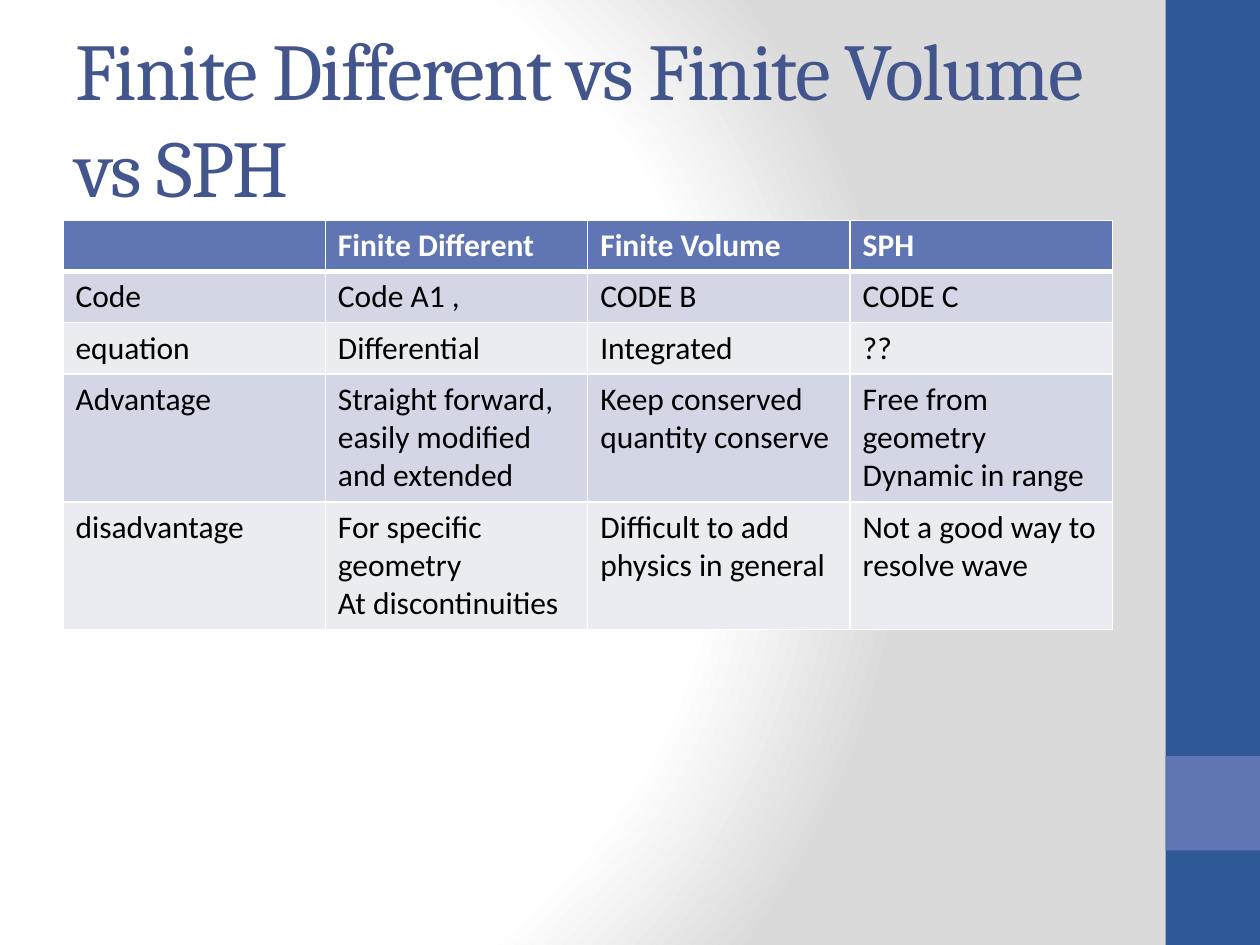
from pptx import Presentation, oxml
from pptx import util as u
from pptx.dml import color
from pptx.enum import shapes, text
from pptx.oxml import ns

ROWS = [
    ["", "Finite Different", "Finite Volume", "SPH"],
    ["Code", "Code A1 ,", "CODE B", "CODE C"],
    ["equation", "Differential", "Integrated", "??"],
    ["Advantage", "Straight forward, easily modified and extended",
     "Keep conserved quantity conserve",
     "Free from geometry\nDynamic in range"],
    ["disadvantage", "For specific geometry\nAt discontinuities",
     "Difficult to add physics in general",
     "Not a good way to resolve wave"],
]
HIGHS = [0.4, 0.4, 0.4, 1.01, 1.01]


def rgb(code):
    return color.RGBColor.from_string(code)


class Deck:
    head, body = "Cambria", "Calibri"
    navy, blue, ink = "2F5897", "6076B4", "42568D"
    white, black = "FFFFFF", "000000"
    bands = ["EAECF2", "D2D6E5"]

    def __init__(self):
        self.prs = Presentation()
        self.prs.slide_width = u.Inches(10)
        self.prs.slide_height = u.Inches(7.5)
        self.slide = self.prs.slides.add_slide(self.prs.slide_layouts[5])

    def glow(self, stops):
        self.slide.background.fill.solid()
        marks = "".join(
            f'<a:gs pos="{pos * 1000}"><a:srgbClr val="{code}"/></a:gs>'
            for pos, code in stops)
        grad = oxml.parse_xml(
            f'<a:gradFill {ns.nsdecls("a")} rotWithShape="1">'
            f'<a:gsLst>{marks}</a:gsLst><a:path path="circle">'
            '<a:fillToRect l="20000" t="50000" r="100000" b="50000"/>'
            '</a:path></a:gradFill>')
        solid = self.slide.element.xpath(".//p:bgPr/a:solidFill")[0]
        solid.getparent().replace(solid, grad)

    def rect(self, x, y, w, h, fill):
        box = self.slide.shapes.add_shape(
            shapes.MSO_SHAPE.RECTANGLE, *map(u.Inches, (x, y, w, h)))
        box.shadow.inherit = False
        box.fill.solid()
        box.fill.fore_color.rgb = rgb(fill)
        box.line.fill.background()

    def font(self, par, name, size, ink, bold=False):
        par.font.name = name
        par.font.size = u.Pt(size)
        par.font.bold = bold
        par.font.color.rgb = rgb(ink)

    def title(self, words, x, y, w, h):
        box = self.slide.shapes.title
        box.left, box.top, box.width, box.height = map(u.Inches, (x, y, w, h))
        frame = box.text_frame
        frame.text = words
        frame.word_wrap = True
        frame.auto_size = text.MSO_AUTO_SIZE.NONE
        frame.vertical_anchor = text.MSO_ANCHOR.MIDDLE
        par = frame.paragraphs[0]
        par.alignment = text.PP_ALIGN.LEFT
        self.font(par, self.head, 46, self.ink)
        par.runs[0].font._element.set("spc", "-100")

    def edge(self, cell, side, width):
        cell._tc.get_or_add_tcPr().append(oxml.parse_xml(
            f'<a:ln{side} {ns.nsdecls("a")} w="{u.Pt(width)}"><a:solidFill>'
            f'<a:srgbClr val="{self.white}"/></a:solidFill></a:ln{side}>'))

    def cell(self, cell, words, row):
        top = row == 0
        cell.text = words
        for par in cell.text_frame.paragraphs:
            self.font(par, self.body, 18, self.white if top else self.black, top)
        for side in "LRTB":
            thick = (top and side == "B") or (row == 1 and side == "T")
            self.edge(cell, side, 3 if thick else 1)
        cell.fill.solid()
        cell.fill.fore_color.rgb = rgb(self.blue if top else self.bands[row % 2])

    def table(self, rows, highs, x, y, w):
        grid = self.slide.shapes.add_table(
            len(rows), len(rows[0]),
            *map(u.Inches, (x, y, w, sum(highs)))).table
        for i, (row, high) in enumerate(zip(rows, highs)):
            grid.rows[i].height = u.Inches(high)
            for j, words in enumerate(row):
                self.cell(grid.cell(i, j), words, i)


def main():
    deck = Deck()
    deck.glow([(0, "FFFFFF"), (75, "FFFFFF"), (100, "DADADA")])
    deck.rect(9.25, 0, 0.75, 7.5, deck.navy)
    deck.rect(9.25, 6, 0.75, 0.75, deck.blue)
    deck.title("Finite Different vs Finite Volume vs SPH", 0.5, 0.3, 8.33, 1.25)
    deck.table(ROWS, HIGHS, 0.5, 1.75, 8.33)
    deck.prs.save("out.pptx")


if __name__ == "__main__":
    main()
